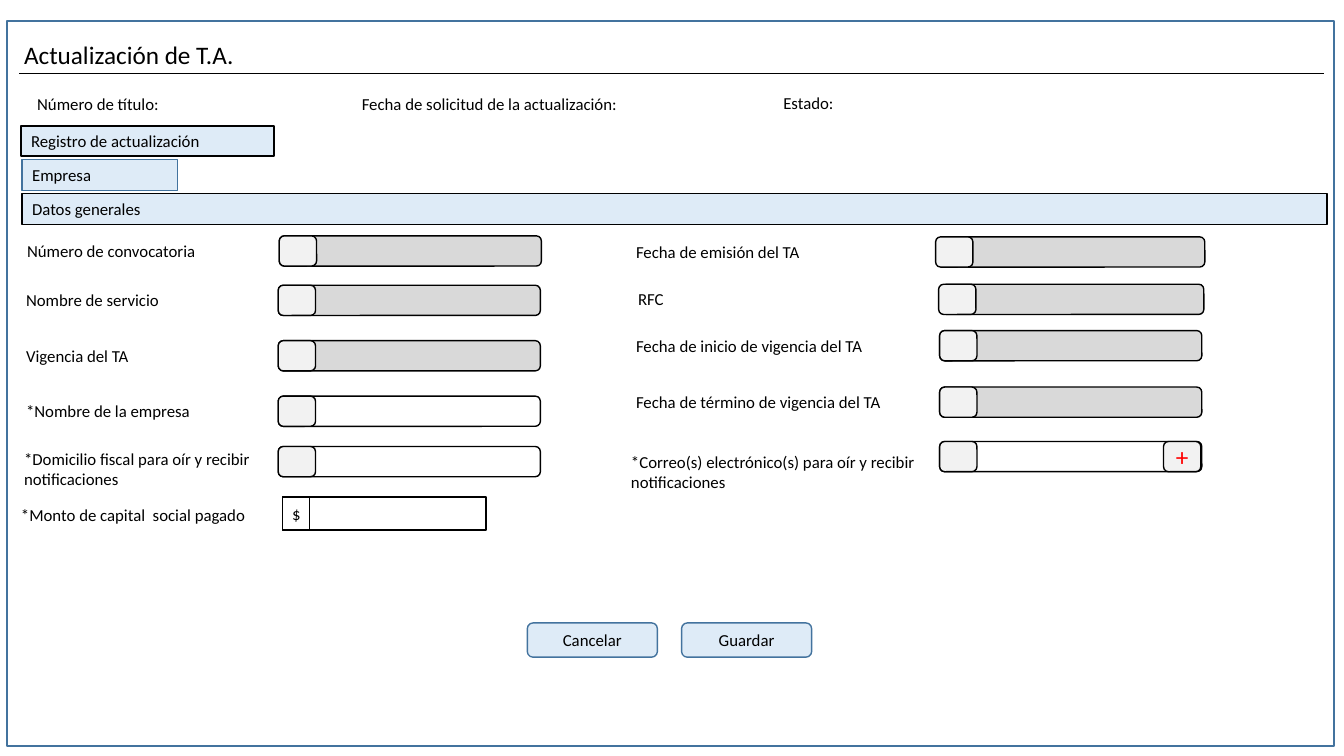
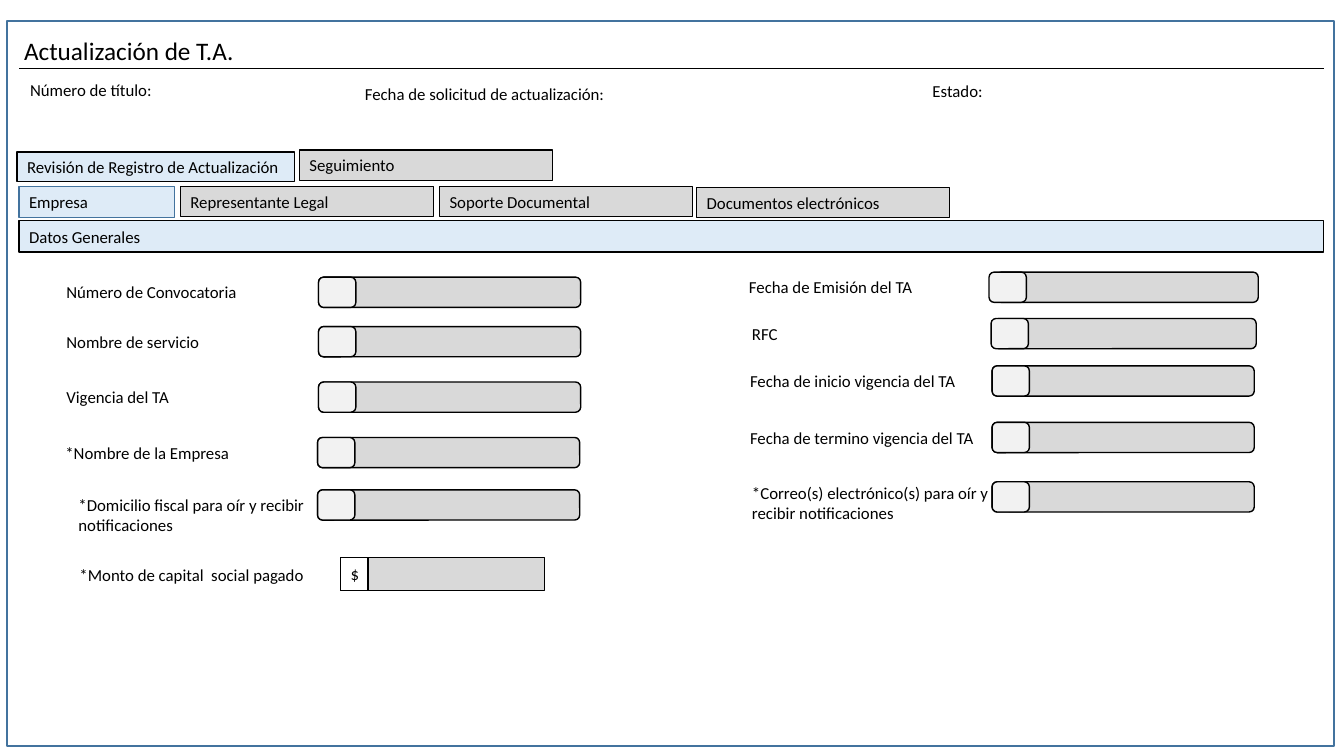
from dataclasses import dataclass

from lxml import etree
from pptx import Presentation
from pptx.dml.color import RGBColor
from pptx.enum.shapes import MSO_CONNECTOR as Connector, MSO_SHAPE as Shape
from pptx.enum.text import MSO_ANCHOR as Anchor, MSO_AUTO_SIZE as AutoSize, PP_ALIGN as Align
from pptx.oxml.ns import qn
from pptx.util import Inches, Pt

COLORS = {
    "frame": "43739E",
    "ink": "000000",
    "active": "DEEBF7",
    "locked": "D9D9D9",
    "lead": "F2F2F2",
    "open": "FFFFFF",
    "add": "FF0000",
}
FONT = "Calibri"
FIELD_W, FIELD_H, LEAD_W = 2.6, 0.3, 0.37
AMOUNT_W, AMOUNT_H, CURRENCY_W = 2.02, 0.33, 0.27


@dataclass(frozen=True)
class Label:
    text: str
    left: float
    top: float
    width: float = 3.59
    height: float = 0.3
    size: int = 12


@dataclass(frozen=True)
class Box:
    text: str
    left: float
    top: float
    width: float
    height: float = 0.3
    fill: str | None = "active"
    line: str = "ink"
    text_color: str = "ink"
    size: int = 12
    centered: bool = False
    kind: Shape = Shape.RECTANGLE


@dataclass(frozen=True)
class Field:
    """A labelled input; label_drop and lead_gap shift its parts."""
    label: str
    label_left: float
    left: float
    top: float
    label_drop: float = 0
    lead_gap: float = 0
    label_width: float = 3.59
    label_height: float = 0.3
    fill: str = "locked"


@dataclass(frozen=True)
class Amount:
    label_left: float
    label_top: float
    left: float
    top: float
    fill: str


@dataclass(frozen=True)
class Screen:
    title_top: float
    rule_top: float
    summary: list[Label]
    tabs: list[Box]
    fields: list[Field]
    amount: Amount
    buttons: list[Box]


def color(name: str) -> RGBColor:
    return RGBColor.from_string(COLORS[name])


def set_text(frame, text: str, size: int, text_color: str = "ink") -> None:
    frame.text = text
    frame.word_wrap = True
    font = frame.paragraphs[0].runs[0].font
    font.name, font.size = FONT, Pt(size)
    font.color.rgb = color(text_color)


def draw_label(slide, label: Label) -> None:
    frame = slide.shapes.add_textbox(
        Inches(label.left), Inches(label.top), Inches(label.width), Inches(label.height)
    ).text_frame
    set_text(frame, label.text, label.size)
    frame.auto_size = AutoSize.SHAPE_TO_FIT_TEXT


def draw_box(slide, box: Box) -> None:
    shape = slide.shapes.add_shape(
        box.kind, Inches(box.left), Inches(box.top), Inches(box.width), Inches(box.height)
    )
    shape.shadow.inherit = False
    if box.fill:
        shape.fill.solid()
        shape.fill.fore_color.rgb = color(box.fill)
    else:
        shape.fill.background()
    shape.line.color.rgb = color(box.line)
    shape.line.width = Pt(1)
    if box.text:
        frame = shape.text_frame
        set_text(frame, box.text, box.size, box.text_color)
        frame.vertical_anchor = Anchor.MIDDLE
        frame.paragraphs[0].alignment = Align.CENTER if box.centered else Align.LEFT


def draw_rule(slide, top: float) -> None:
    rule = slide.shapes.add_connector(
        Connector.STRAIGHT, Inches(0.19), Inches(top), Inches(13.13), Inches(top)
    )
    rule.line.color.rgb = color("ink")
    rule.line.width = Pt(0.5)
    etree.SubElement(rule._element.spPr, qn("a:effectLst"))


def draw_field(slide, field: Field) -> None:
    rounded = Shape.ROUNDED_RECTANGLE
    draw_box(slide, Box("", field.left + field.lead_gap, field.top, FIELD_W, FIELD_H,
                        field.fill, kind=rounded))
    draw_box(slide, Box("", field.left, field.top, LEAD_W, FIELD_H, "lead", kind=rounded))
    draw_label(slide, Label(field.label, field.label_left, field.top + field.label_drop,
                            field.label_width, field.label_height))


def draw_amount(slide, amount: Amount) -> None:
    draw_label(slide, Label("*Monto de capital  social pagado",
                            amount.label_left, amount.label_top, 3.37))
    draw_box(slide, Box("", amount.left, amount.top, AMOUNT_W, AMOUNT_H, amount.fill))
    draw_box(slide, Box("$", amount.left, amount.top, CURRENCY_W, AMOUNT_H, "open",
                        centered=True))


def draw_screen(deck, screen: Screen) -> None:
    slide = deck.slides.add_slide(deck.slide_layouts[6])
    # Frame and heading
    draw_box(slide, Box("", 0.07, 0.21, 13.16, 7.19, None, "frame"))
    draw_label(slide, Label("Actualización de T.A.", 0.14, screen.title_top, 5.11, 0.4, 18))
    draw_rule(slide, screen.rule_top)
    for label in screen.summary:
        draw_label(slide, label)
    # Tabs and section band
    for tab in screen.tabs:
        draw_box(slide, tab)
    # Form
    for field in screen.fields:
        draw_field(slide, field)
    draw_amount(slide, screen.amount)
    for button in screen.buttons:
        draw_box(slide, button)


def action(text: str, left: float) -> Box:
    return Box(text, left, 6.18, 1.29, 0.34, line="frame", centered=True,
               kind=Shape.ROUNDED_RECTANGLE)


def inactive_tab(text: str, left: float, top: float) -> Box:
    return Box(text, left, top, 2.51, fill="locked")


ADDRESS = "*Domicilio fiscal para oír y recibir notificaciones"
EMAIL = "*Correo(s) electrónico(s) para oír y recibir notificaciones"

REGISTRATION = Screen(
    title_top=0.34,
    rule_top=0.73,
    summary=[
        Label("Número de título:", 0.27, 0.88, 1.69),
        Label("Fecha de solicitud de la actualización:", 3.49, 0.88, 2.97),
        Label("Estado:", 7.67, 0.87, 2.12),
    ],
    tabs=[
        Box("Datos generales", 0.22, 1.92, 12.94, 0.31),
        Box("Empresa", 0.22, 1.58, 1.54, 0.31, line="frame"),
        Box("Registro de actualización", 0.21, 1.25, 2.51),
    ],
    fields=[
        Field("Número de convocatoria", 0.17, 2.77, 2.34),
        Field("Nombre de servicio", 0.16, 2.76, 2.83),
        Field("Vigencia del TA", 0.16, 2.76, 3.38),
        Field("*Nombre de la empresa", 0.16, 2.76, 3.93, fill="open"),
        Field(ADDRESS, 0.14, 2.76, 4.43, label_drop=-0.03, label_width=3.14,
              label_height=0.5, fill="open"),
        Field("Fecha de emisión del TA", 6.21, 9.28, 2.35, lead_gap=0.07),
        Field("RFC", 6.23, 9.31, 2.82, lead_gap=0.03),
        Field("Fecha de inicio de vigencia del TA", 6.21, 9.32, 3.28),
        Field("Fecha de término de vigencia del TA", 6.21, 9.32, 3.84),
        Field(EMAIL, 6.16, 9.32, 4.38, label_drop=0.05, label_height=0.5, fill="open"),
    ],
    amount=Amount(0.11, 4.96, 2.8, 4.93, "open"),
    buttons=[
        Box("+", 11.54, 4.38, LEAD_W, FIELD_H, "lead", text_color="add", size=18,
            centered=True, kind=Shape.ROUNDED_RECTANGLE),
        action("Cancelar", 5.23),
        action("Guardar", 6.76),
    ],
)

REVIEW = Screen(
    title_top=0.3,
    rule_top=0.68,
    summary=[
        Label("Número de título:", 0.2, 0.74, 3.18),
        Label("Fecha de solicitud de actualización:", 3.52, 0.78, 3.07),
        Label("Estado:", 9.15, 0.75, 2.12),
    ],
    tabs=[
        Box("Datos Generales", 0.19, 2.19, 12.94, 0.31),
        Box("Empresa", 0.19, 1.85, 1.54, 0.31, line="frame"),
        Box("Revisión de Registro de Actualización", 0.17, 1.51, 2.75, 0.29),
        inactive_tab("Seguimiento", 2.97, 1.49),
        inactive_tab("Representante Legal", 1.79, 1.85),
        inactive_tab("Soporte Documental", 4.36, 1.85),
        inactive_tab("Documentos electrónicos", 6.91, 1.86),
    ],
    fields=[
        Field("Número de Convocatoria", 0.56, 3.16, 2.75),
        Field("Nombre de servicio", 0.56, 3.16, 3.24),
        Field("Vigencia del TA", 0.56, 3.16, 3.79),
        Field("*Nombre de la Empresa", 0.55, 3.15, 4.34),
        Field(ADDRESS, 0.68, 3.15, 4.86, label_width=3.26, label_height=0.5),
        Field("Fecha de Emisión del TA", 7.33, 9.81, 2.7, lead_gap=0.07),
        Field("RFC", 7.36, 9.83, 3.16, lead_gap=0.03),
        Field("Fecha de inicio vigencia del TA", 7.34, 9.84, 3.63),
        Field("Fecha de termino vigencia del TA", 7.34, 9.84, 4.19),
        Field(EMAIL, 7.36, 9.84, 4.78, label_drop=-0.04, label_width=2.89, label_height=0.5),
    ],
    amount=Amount(0.69, 5.55, 3.38, 5.53, "locked"),
    buttons=[],
)


def main() -> None:
    deck = Presentation()
    deck.slide_width, deck.slide_height = Inches(13.33), Inches(7.5)
    for screen in (REGISTRATION, REVIEW):
        draw_screen(deck, screen)
    deck.save("out.pptx")


if __name__ == "__main__":
    main()
